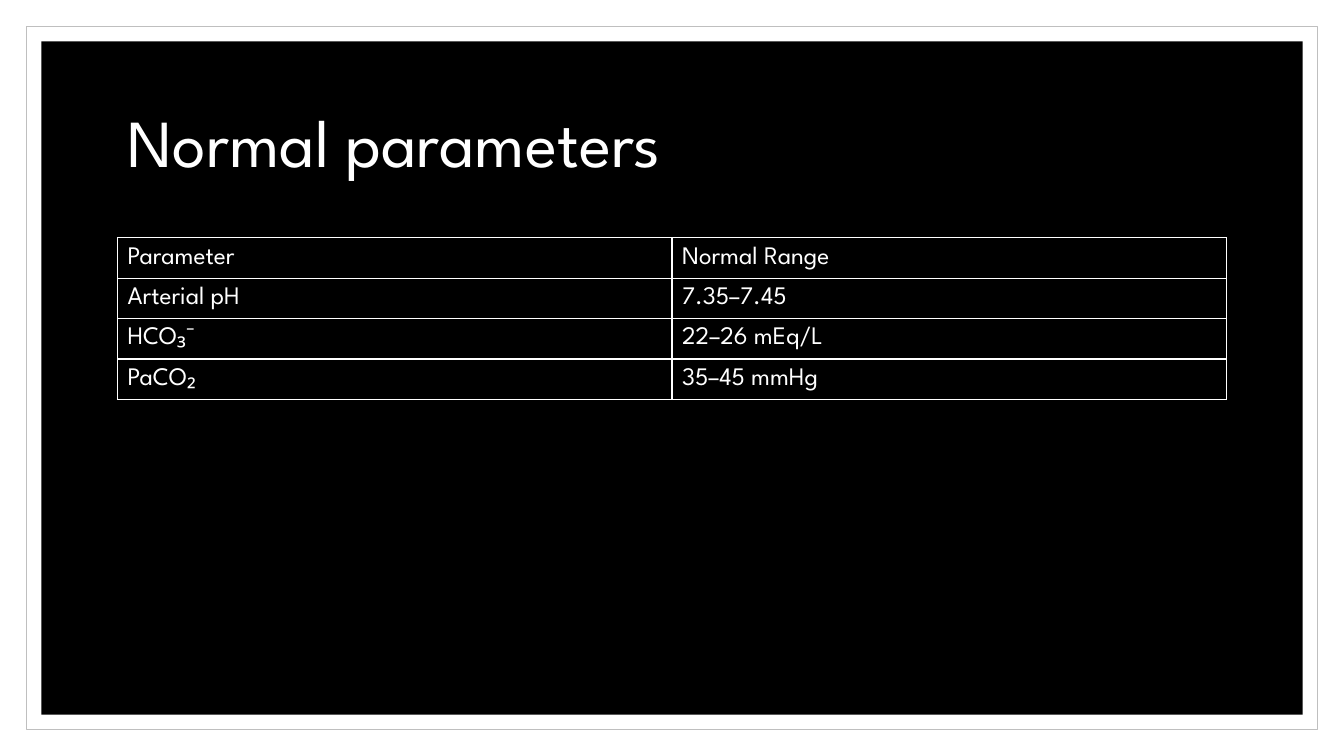
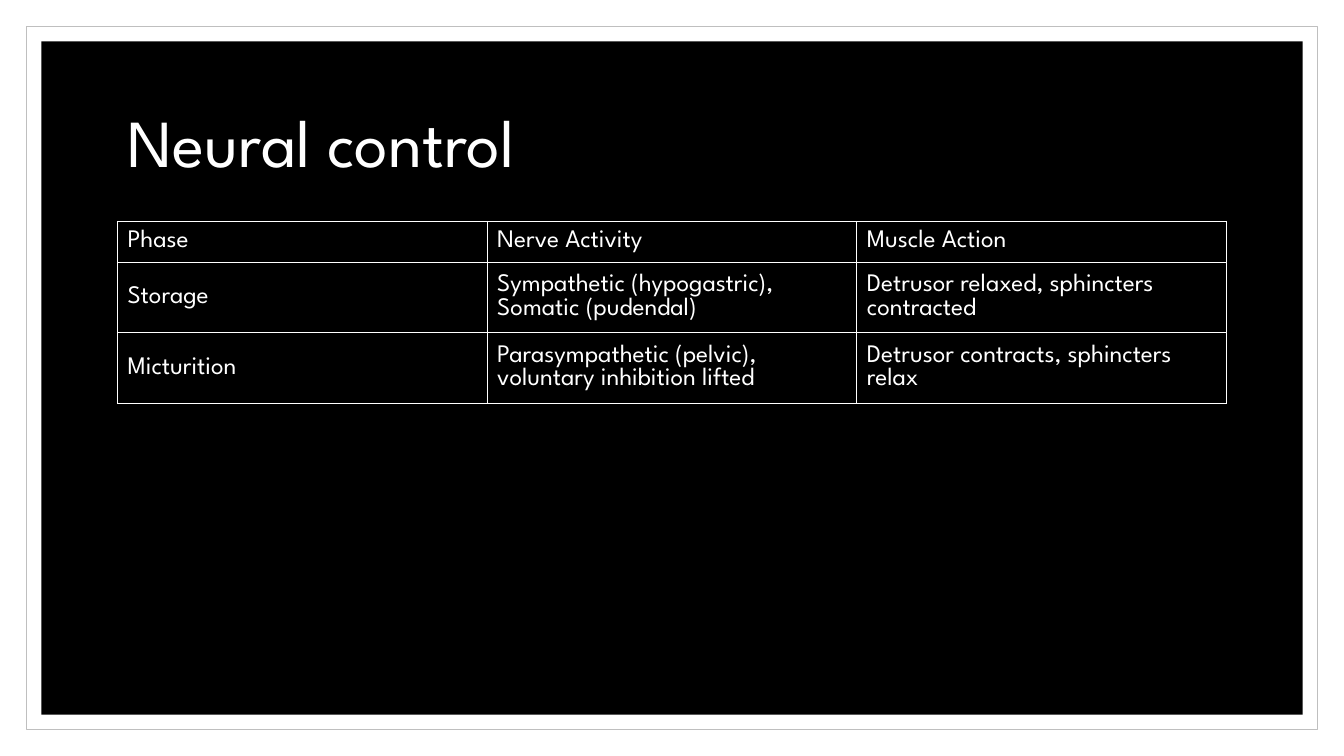
"""Build two black-panel slides, each with a title and a ruled table."""
import pptx
import pptx.dml.color
import pptx.enum.shapes
import pptx.enum.text
import pptx.oxml
import pptx.oxml.ns
import pptx.util
from lxml import etree

SLIDES = [
    {
        "title": "Normal parameters",
        "table_top": 2.36,
        "rows": [
            ("Parameter", "Normal Range"),
            ("Arterial pH", "7.35–7.45"),
            ("HCO₃⁻", "22–26 mEq/L"),
            ("PaCO₂", "35–45 mmHg"),
        ],
        "row_lines": (1, 1, 1, 1),
    },
    {
        "title": "Neural control",
        "table_top": 2.2,
        "rows": [
            ("Phase", "Nerve Activity", "Muscle Action"),
            ("Storage", "Sympathetic (hypogastric), Somatic (pudendal)",
             "Detrusor relaxed, sphincters contracted"),
            ("Micturition", "Parasympathetic (pelvic), voluntary inhibition lifted",
             "Detrusor contracts, sphincters relax"),
        ],
        "row_lines": (1, 2, 2),
    },
]

WHITE = pptx.dml.color.RGBColor(0xFF, 0xFF, 0xFF)
BLACK = pptx.dml.color.RGBColor(0x00, 0x00, 0x00)
GREY = pptx.dml.color.RGBColor(0xBF, 0xBF, 0xBF)

WIDTH, HEIGHT = 13.33, 7.5
CONTENT_WIDTH = 11
CONTENT_LEFT = (WIDTH - CONTENT_WIDTH) / 2
TITLE_TOP, TITLE_HEIGHT = 0.7, 1.5
LINE_HEIGHT, CELL_PADDING = 0.23, 0.1
PANELS = [(0.26, WHITE, GREY), (0.41, BLACK, None)]
MIDDLE = pptx.enum.text.MSO_ANCHOR.MIDDLE

TITLE_FONT = {"name": "League Spartan", "size": pptx.util.Pt(48), "bold": False}
CELL_FONT = {**TITLE_FONT, "size": pptx.util.Pt(18)}


def inches(*lengths):
    return [pptx.util.Inches(length) for length in lengths]


def write(para, text, font_format):
    span = para.add_run()
    span.text = text
    for name, value in font_format.items():
        setattr(span.font, name, value)
    span.font.color.rgb = WHITE


def add_panels(page):
    for inset, fill, line in PANELS:
        box = page.shapes.add_shape(
            pptx.enum.shapes.MSO_SHAPE.RECTANGLE,
            *inches(inset, inset, WIDTH - 2 * inset, HEIGHT - 2 * inset))
        box.shadow.inherit = False
        box.fill.solid()
        box.fill.fore_color.rgb = fill
        if line is None:
            box.line.fill.background()
        else:
            box.line.color.rgb = line
            box.line.width = pptx.util.Pt(0.5)


def add_title(page, text):
    box = page.shapes.add_textbox(
        *inches(CONTENT_LEFT, TITLE_TOP, CONTENT_WIDTH, TITLE_HEIGHT))
    box.text_frame.word_wrap = True
    box.text_frame.vertical_anchor = MIDDLE
    para = box.text_frame.paragraphs[0]
    para.line_spacing = 0.9
    write(para, text, TITLE_FONT)


def add_borders(cell):
    properties = cell._tc.get_or_add_tcPr()
    for side in ("lnL", "lnR", "lnT", "lnB"):
        border = etree.SubElement(properties, pptx.oxml.ns.qn(f"a:{side}"),
                                  w=str(pptx.util.Pt(1)))
        fill = etree.SubElement(border, pptx.oxml.ns.qn("a:solidFill"))
        etree.SubElement(fill, pptx.oxml.ns.qn("a:srgbClr"), val=str(WHITE))


def add_table(page, top, rows, row_lines):
    heights = [lines * LINE_HEIGHT + CELL_PADDING for lines in row_lines]
    table = page.shapes.add_table(
        len(rows), len(rows[0]),
        *inches(CONTENT_LEFT, top, CONTENT_WIDTH, sum(heights))).table
    table.first_row = table.horz_banding = False
    for row, height, texts in zip(table.rows, heights, rows):
        row.height = pptx.util.Inches(height)
        for cell, text in zip(row.cells, texts):
            cell.vertical_anchor = MIDDLE
            add_borders(cell)
            cell.fill.background()
            write(cell.text_frame.paragraphs[0], text, CELL_FONT)


def main():
    deck = pptx.Presentation()
    deck.slide_width, deck.slide_height = inches(WIDTH, HEIGHT)
    for content in SLIDES:
        page = deck.slides.add_slide(deck.slide_layouts[6])
        add_panels(page)
        add_title(page, content["title"])
        add_table(page, content["table_top"], content["rows"], content["row_lines"])
    deck.save("out.pptx")


if __name__ == "__main__":
    main()
